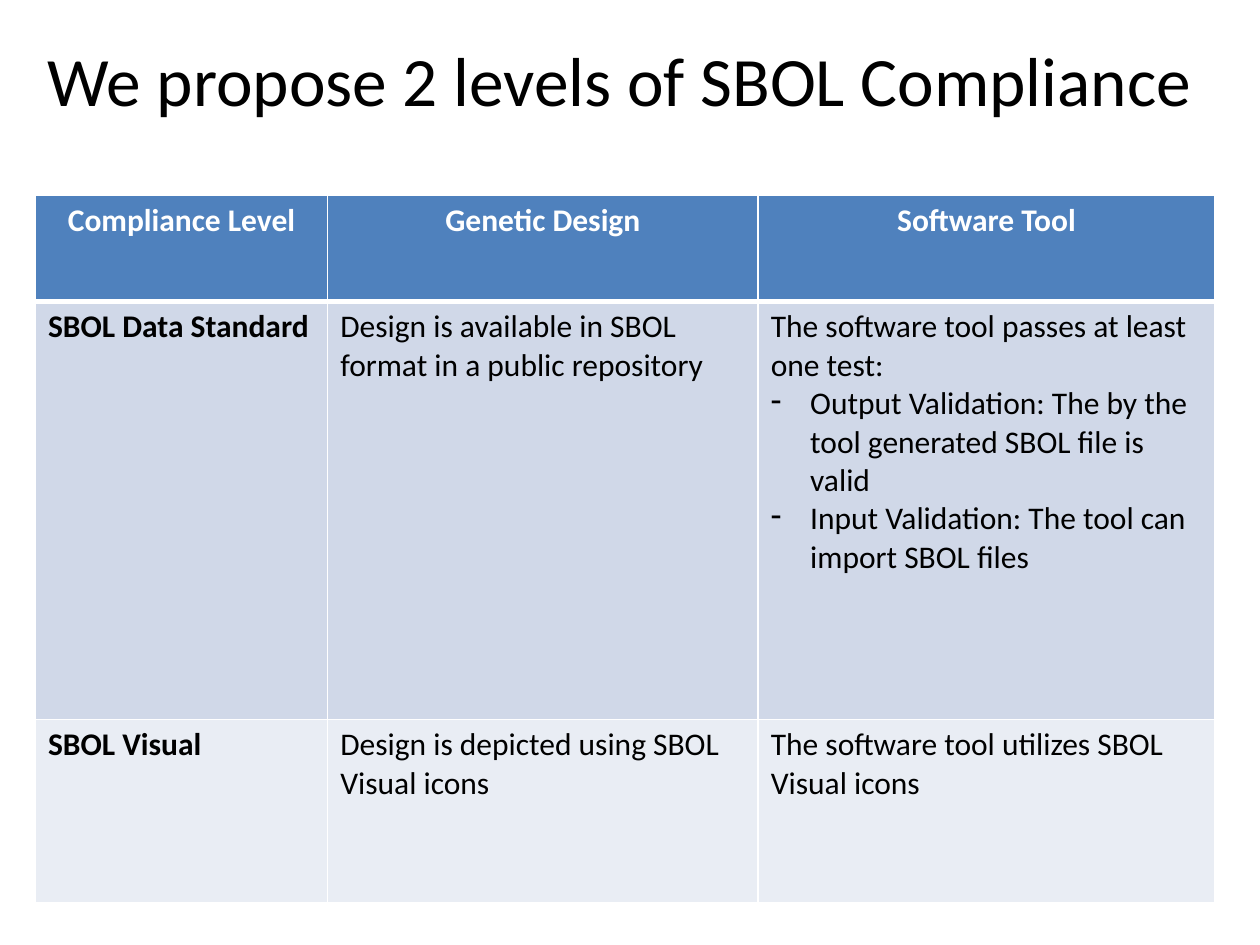
from lxml import etree
from pptx import Presentation, util as u
from pptx.dml import color
from pptx.enum import text
from pptx.oxml import ns

Pt = u.Pt
COLORS = {
    "ink": "000000",
    "white": "FFFFFF",
    "header": "4F81BD",
    "band_dark": "D0D8E8",
    "band_light": "E9EDF4",
}
FONT = "Calibri"
COLUMN_WIDTHS = [167, 246, 261]
ROW_HEIGHTS = [60.5, 239, 104.5]
ROW_FILLS = ["header", "band_dark", "band_light"]
BULLET = "- "
ROWS = [
    [["Compliance Level"], ["Genetic Design"], ["Software Tool"]],
    [
        ["SBOL Data Standard"],
        ["Design is available in SBOL format in a public repository"],
        [
            "The software tool passes at least one test:",
            BULLET + "Output Validation: The by the tool generated SBOL file is valid",
            BULLET + "Input Validation: The tool can import SBOL files",
        ],
    ],
    [
        ["SBOL Visual"],
        ["Design is depicted using SBOL Visual icons"],
        ["The software tool utilizes SBOL Visual icons"],
    ],
]


def rgb(name):
    return color.RGBColor.from_string(COLORS[name])


def add_run(paragraph, words, size, color_name, bold=False):
    run = paragraph.add_run()
    run.text = words
    run.font.name = FONT
    run.font.size = Pt(size)
    run.font.bold = bold
    run.font.color.rgb = rgb(color_name)


def add_bullet(paragraph, character, indent):
    properties = paragraph._p.get_or_add_pPr()
    properties.set("marL", str(Pt(indent)))
    properties.set("indent", str(-Pt(indent)))
    etree.SubElement(properties, ns.qn("a:buChar"), char=character)


def add_borders(cell, widths):
    properties = cell._tc.get_or_add_tcPr()
    for side, width in widths.items():
        line = etree.SubElement(properties, ns.qn(f"a:ln{side}"), w=str(Pt(width)))
        fill = etree.SubElement(line, ns.qn("a:solidFill"))
        etree.SubElement(fill, ns.qn("a:srgbClr"), val=COLORS["white"])


def fill_cell(cell, lines, row_index, column_index):
    is_header = row_index == 0
    add_borders(cell, {
        "L": 1,
        "R": 1,
        "T": 3 if row_index == 1 else 1,
        "B": 3 if is_header else 1,
    })
    cell.fill.solid()
    cell.fill.fore_color.rgb = rgb(ROW_FILLS[row_index])
    for index, line in enumerate(lines):
        frame = cell.text_frame
        paragraph = frame.add_paragraph() if index else frame.paragraphs[0]
        if line.startswith(BULLET):
            add_bullet(paragraph, BULLET.strip(), 22.5)
        if is_header:
            paragraph.alignment = text.PP_ALIGN.CENTER
        add_run(paragraph, line.removeprefix(BULLET), 18,
                "white" if is_header else "ink", is_header or column_index == 0)


def place_title(slide, left, top, width, height):
    title = slide.shapes.title
    title.left, title.top = Pt(left), Pt(top)
    title.width, title.height = Pt(width), Pt(height)
    frame = title.text_frame
    frame.auto_size = text.MSO_AUTO_SIZE.NONE
    frame.vertical_anchor = text.MSO_ANCHOR.MIDDLE
    paragraph = frame.paragraphs[0]
    paragraph.alignment = text.PP_ALIGN.LEFT
    add_run(paragraph, "We propose 2 levels of SBOL Compliance", 39.6, "ink")


def place_compliance_table(slide, left, top):
    table = slide.shapes.add_table(
        len(ROWS), len(COLUMN_WIDTHS), Pt(left), Pt(top),
        Pt(sum(COLUMN_WIDTHS)), Pt(sum(ROW_HEIGHTS)),
    ).table
    for column, width in zip(table.columns, COLUMN_WIDTHS):
        column.width = Pt(width)
    for row_index, row in enumerate(ROWS):
        table.rows[row_index].height = Pt(ROW_HEIGHTS[row_index])
        for column_index, lines in enumerate(row):
            fill_cell(table.cell(row_index, column_index), lines, row_index, column_index)


def main():
    presentation = Presentation()
    presentation.slide_width, presentation.slide_height = Pt(720), Pt(540)
    slide = presentation.slides.add_slide(presentation.slide_layouts[5])
    place_title(slide, 20, 0, 683, 90)
    place_compliance_table(slide, 20.3, 111.7)
    presentation.save("out.pptx")


if __name__ == "__main__":
    main()
